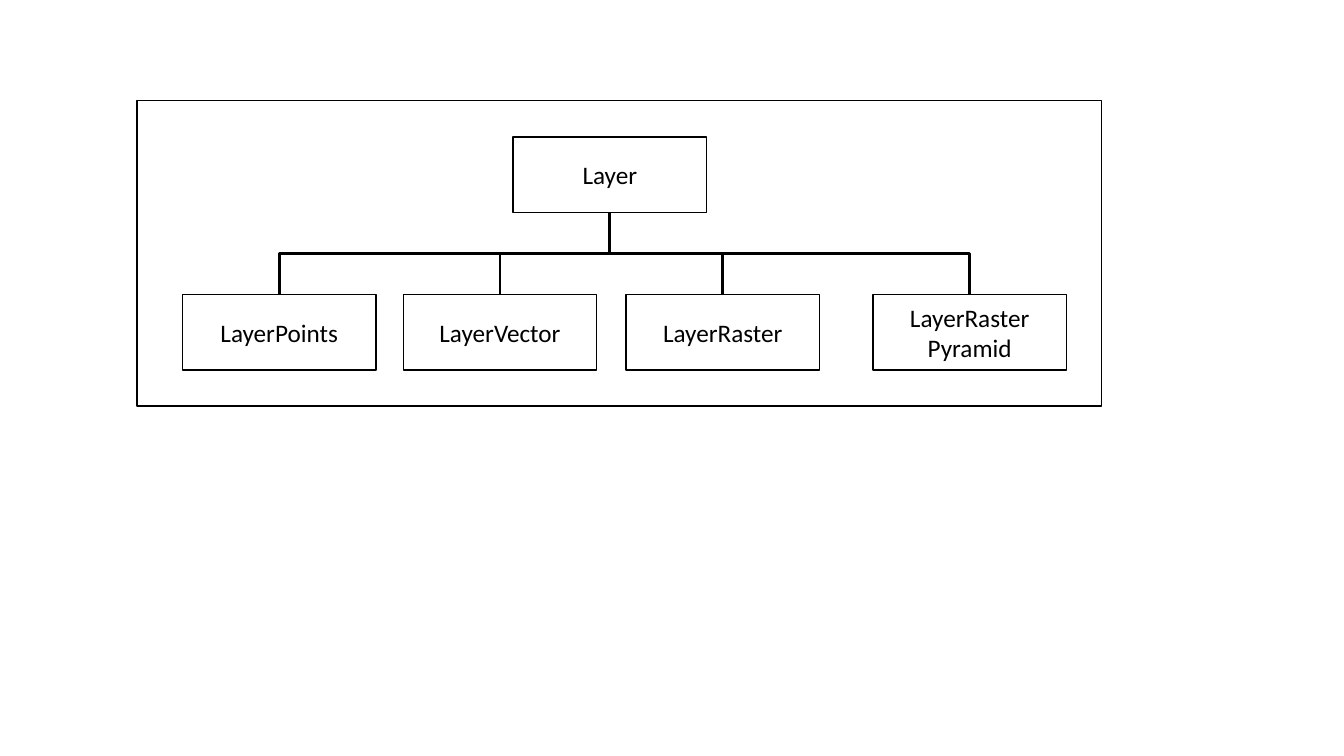
import pptx
import pptx.dml.color
import pptx.enum.shapes
import pptx.enum.text
import pptx.oxml.ns
import pptx.util
from lxml import etree

Pt = pptx.util.Pt
BLACK = pptx.dml.color.RGBColor(0, 0, 0)
WHITE = pptx.dml.color.RGBColor(255, 255, 255)

CLASS_WIDTH, CLASS_HEIGHT = 138.24, 54
BASE_CLASS = ("Layer", 268.56, 25.92)
SUBCLASS_TOP = 138.24
SUBCLASSES = [
    ("LayerPoints", 32.4),
    ("LayerVector", 190.08),
    ("LayerRaster", 349.2),
    ("LayerRaster\nPyramid", 525.6),
]
CLASS_FONT = {"name": "Calibri", "size": Pt(18)}
BOTTOM_SITE, TOP_SITE = 2, 0


def apply_format(target, values):
    """Set each attribute of target from a dict of values."""
    for attribute, value in values.items():
        setattr(target, attribute, value)


def draw_rectangle(slide, left, top, width, height):
    """Add a rectangle with a thin black outline, lengths in points."""
    rectangle = slide.shapes.add_shape(
        pptx.enum.shapes.MSO_SHAPE.RECTANGLE, Pt(left), Pt(top), Pt(width), Pt(height))
    rectangle.shadow.inherit = False
    rectangle.line.color.rgb = BLACK
    rectangle.line.width = Pt(1)
    return rectangle


def draw_class(slide, name, left, top):
    """Add one class box; each line of its name is a paragraph."""
    class_box = draw_rectangle(slide, left, top, CLASS_WIDTH, CLASS_HEIGHT)
    class_box.fill.solid()
    class_box.fill.fore_color.rgb = WHITE
    label = class_box.text_frame
    label.text = name
    apply_format(label, {"word_wrap": True,
                         "vertical_anchor": pptx.enum.text.MSO_ANCHOR.MIDDLE})
    for line in label.paragraphs:
        line.alignment = pptx.enum.text.PP_ALIGN.CENTER
        for run in line.runs:
            apply_format(run.font, CLASS_FONT)
            run.font.color.rgb = BLACK
    return class_box


def draw_inheritance(slide, base, subclass):
    """Join the base's bottom to the subclass's top with a vertical-first elbow."""
    start_x, start_y = base.left + base.width // 2, base.top + base.height
    end_x, end_y = subclass.left + subclass.width // 2, subclass.top
    drop, run = end_y - start_y, abs(end_x - start_x)
    branch = slide.shapes.add_connector(
        pptx.enum.shapes.MSO_CONNECTOR.ELBOW, start_x, start_y, end_x, end_y)
    branch.begin_connect(base, BOTTOM_SITE)
    branch.end_connect(subclass, TOP_SITE)
    # The elbow is turned a quarter, so its width is the drop and its height the run.
    apply_format(branch, {"left": (start_x + end_x - drop) // 2,
                          "top": (start_y + end_y - run) // 2,
                          "width": drop, "height": run})
    goes_right = end_x > start_x
    frame = branch._element.spPr.find(pptx.oxml.ns.qn("a:xfrm"))
    frame.set("rot", str((270 if goes_right else 90) * 60000))
    frame.set("flipH", "1" if goes_right else "0")
    frame.set("flipV", "0")
    branch.line.color.rgb = BLACK
    branch.line.width = Pt(2)
    etree.SubElement(branch._element.spPr, pptx.oxml.ns.qn("a:effectLst"))


def draw_hierarchy(slide, left, top, width, height):
    """Draw the framed class tree inside the given box."""
    base_name, base_left, base_top = BASE_CLASS
    base = draw_class(slide, base_name, left + base_left, top + base_top)
    for name, offset in SUBCLASSES:
        subclass = draw_class(slide, name, left + offset, top + SUBCLASS_TOP)
        draw_inheritance(slide, base, subclass)
    draw_rectangle(slide, left, top, width, height).fill.background()


presentation = pptx.Presentation()
apply_format(presentation, {"slide_width": Pt(960), "slide_height": Pt(540)})
hierarchy_slide = presentation.slides.add_slide(presentation.slide_layouts[6])
draw_hierarchy(hierarchy_slide, 97.92, 72, 689.04, 218.16)
presentation.save("out.pptx")
